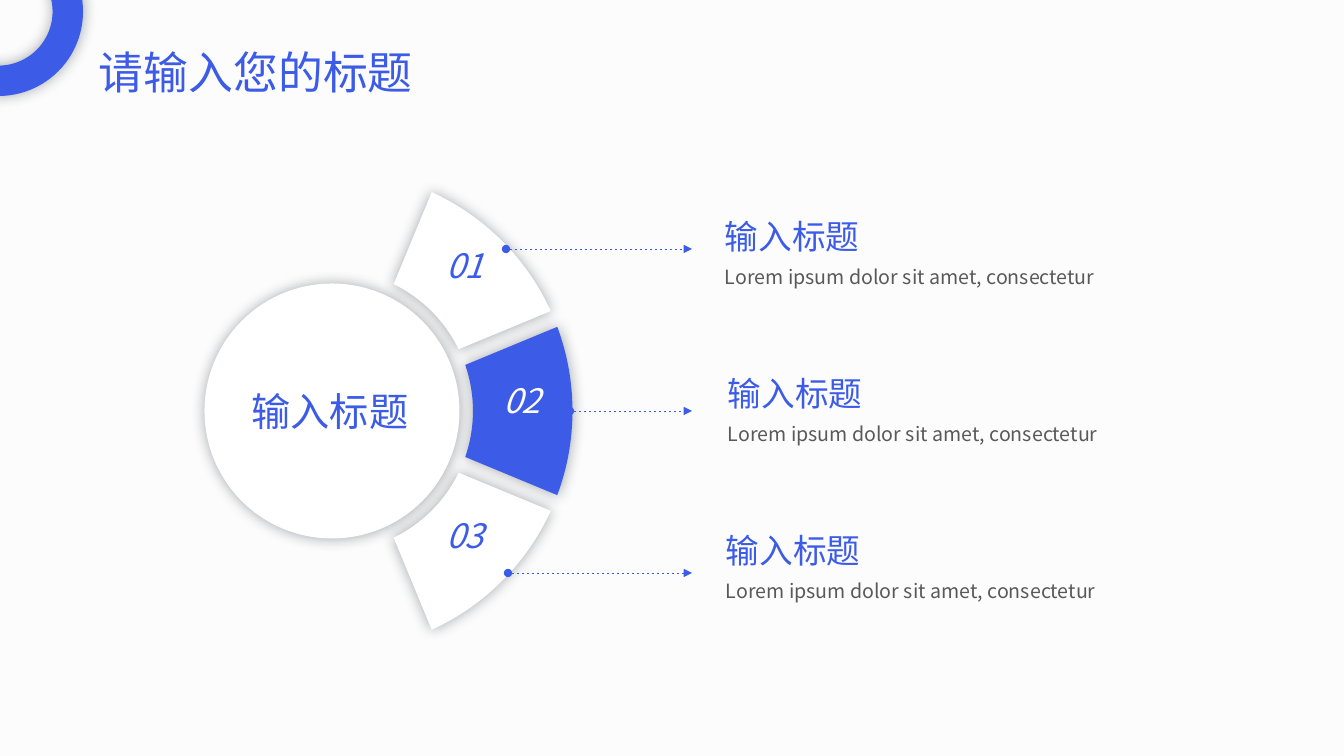
"""Build a slide with a hub circle, three ring sectors and their captions."""
from dataclasses import dataclass
from math import asin, cos, radians, sin, tan

from lxml import etree
from pptx import Presentation
from pptx.dml.color import RGBColor
from pptx.enum.dml import MSO_LINE
from pptx.enum.shapes import MSO_CONNECTOR, MSO_SHAPE
from pptx.enum.text import MSO_ANCHOR, PP_ALIGN
from pptx.oxml.ns import qn
from pptx.util import Pt

PX = 914400 / 100.8
STRAIGHT, OVAL, DONUT = MSO_CONNECTOR.STRAIGHT, MSO_SHAPE.OVAL, MSO_SHAPE.DONUT
TOP, MIDDLE = MSO_ANCHOR.TOP, MSO_ANCHOR.MIDDLE
LEFT, CENTER = PP_ALIGN.LEFT, PP_ALIGN.CENTER
DASH = MSO_LINE.DASH


@dataclass(frozen=True)
class Theme:
    font: str = "Noto Sans CJK SC"
    background: str = "FCFCFC"
    accent: str = "3C5CE8"
    white: str = "FFFFFF"
    body: str = "595959"
    shadow: str = "222A35"
    title_size: int = 32
    hub_size: int = 28
    heading_size: int = 24
    body_size: int = 14


theme = Theme()


def add_text(box, words, size, color, align=LEFT, anchor=TOP, insets=(27, 13), italic=False):
    label = slide.shapes.add_textbox(*(round(v * PX) for v in box))
    frame = label.text_frame
    frame.word_wrap = True
    frame.vertical_anchor = anchor
    frame.margin_left = frame.margin_right = round(insets[0] * PX)
    frame.margin_top = frame.margin_bottom = round(insets[1] * PX)
    frame.text = words
    paragraph = frame.paragraphs[0]
    paragraph.alignment = align
    font = paragraph.runs[0].font
    font.name, font.size, font.italic = theme.font, Pt(size), italic
    font.color.rgb = RGBColor.from_string(color)
    etree.SubElement(paragraph.runs[0]._r.rPr, qn("a:ea"), typeface=theme.font)
    return paragraph


def style_soft(shape, color):
    shape.fill.solid()
    shape.fill.fore_color.rgb = RGBColor.from_string(color)
    shape.line.fill.background()
    shape.shadow.inherit = False
    effects = shape._element.spPr.find(qn("a:effectLst"))
    glow = etree.SubElement(effects, qn("a:outerShdw"), blurRad=str(Pt(10)), dist="0",
                            dir="0", algn="ctr", rotWithShape="0")
    tint = etree.SubElement(glow, qn("a:srgbClr"), val=theme.shadow)
    etree.SubElement(tint, qn("a:alpha"), val="40000")


prs = Presentation()
prs.slide_width, prs.slide_height = round(1344 * PX), round(756 * PX)
slide = prs.slides.add_slide(prs.slide_layouts[6])
slide.background.fill.solid()
slide.background.fill.fore_color.rgb = RGBColor.from_string(theme.background)

HUB_X, HUB_Y, HUB_RADIUS = 332, 411, 127.5
INNER, OUTER, HALF_GAP = 141, 240.5, 8.5
sectors = [
    ("01", -45, theme.white, theme.accent, 426, 506, 698),
    ("02", 0, theme.accent, theme.white, 483, 570, 701),
    ("03", 45, theme.white, theme.accent, 426, 508, 699),
]

hub = slide.shapes.add_shape(OVAL, *(round(v * PX) for v in (
    HUB_X - HUB_RADIUS, HUB_Y - HUB_RADIUS, 2 * HUB_RADIUS, 2 * HUB_RADIUS)))
style_soft(hub, theme.white)
add_text((205, 373, 250, 75), "输入标题", theme.hub_size, theme.accent, CENTER, MIDDLE)

for row, (number, angle, fill, ink, number_x, leader_x, caption_x) in enumerate(sectors):
    outline = []
    for radius, direction in ((OUTER, 1), (INNER, -1)):
        half = direction * (radians(22.5) - asin(HALF_GAP / radius))
        handle = 4 / 3 * tan(half / 2)
        for turn, pull in ((-half, 0), (-half, handle), (half, -handle), (half, 0)):
            theta = radians(angle) + turn
            outline.append((
                round((HUB_X + radius * (cos(theta) - pull * sin(theta))) * PX),
                round((HUB_Y + radius * (sin(theta) + pull * cos(theta))) * PX)))
    builder = slide.shapes.build_freeform(*outline[0])
    builder.add_line_segments(outline[1:], close=True)
    sector = builder.convert_to_shape()
    segments = list(sector._element.iter(qn("a:lnTo")))
    for arc in (segments[:3], segments[4:7]):
        curve = etree.Element(qn("a:cubicBezTo"))
        arc[0].addprevious(curve)
        for segment in arc:
            curve.append(segment[0])
            segment.getparent().remove(segment)
    style_soft(sector, fill)

    leader_y = HUB_Y + 162 * (row - 1)
    leader = slide.shapes.add_connector(
        STRAIGHT, *(round(v * PX) for v in (leader_x, leader_y, 692, leader_y)))
    leader.line.color.rgb = RGBColor.from_string(theme.accent)
    leader.line.width = Pt(0.5)
    leader.line.dash_style = DASH
    for end, kind in (("a:headEnd", "oval"), ("a:tailEnd", "triangle")):
        etree.SubElement(leader.line._get_or_add_ln(), qn(end), type=kind)
    etree.SubElement(leader._element.spPr, qn("a:effectLst"))

    add_text((number_x, 245 + 135 * row, 78, 40), number, theme.heading_size, ink,
             CENTER, insets=(0, 0), italic=True)
    caption_y = 202 + 157 * row
    add_text((caption_x, caption_y, 271, 68), "输入标题", theme.heading_size,
             theme.accent, anchor=MIDDLE)
    detail = add_text((caption_x, caption_y + 38, 438, 68),
                      "Lorem ipsum dolor sit amet, consectetur", theme.body_size, theme.body)
    detail.line_spacing = 1.5
    detail.space_before = Pt(3)

corner_ring = slide.shapes.add_shape(DONUT, *(round(v * PX) for v in (-86, -73, 169, 169)))
corner_ring.adjustments[0] = 0.18
style_soft(corner_ring, theme.accent)
add_text((89, 40, 466, 65), "请输入您的标题", theme.title_size, theme.accent, insets=(10, 5))

prs.save("out.pptx")
